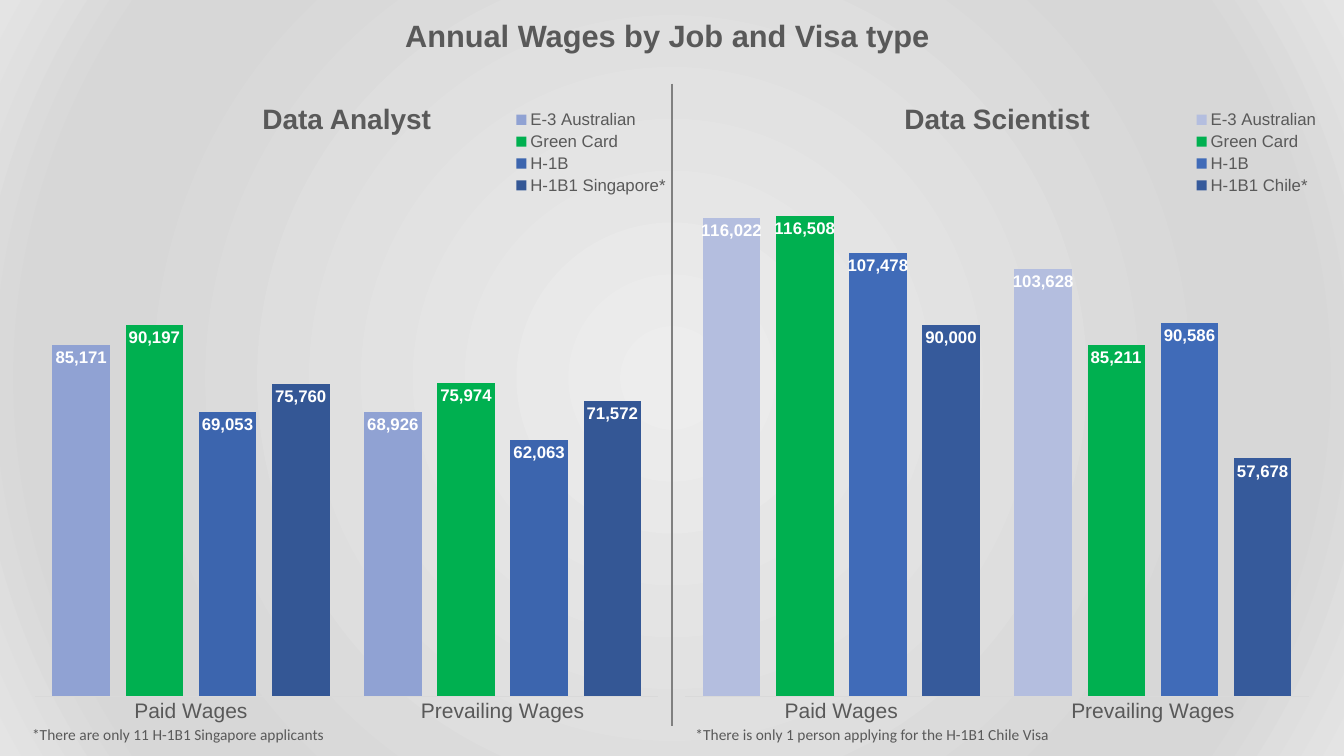
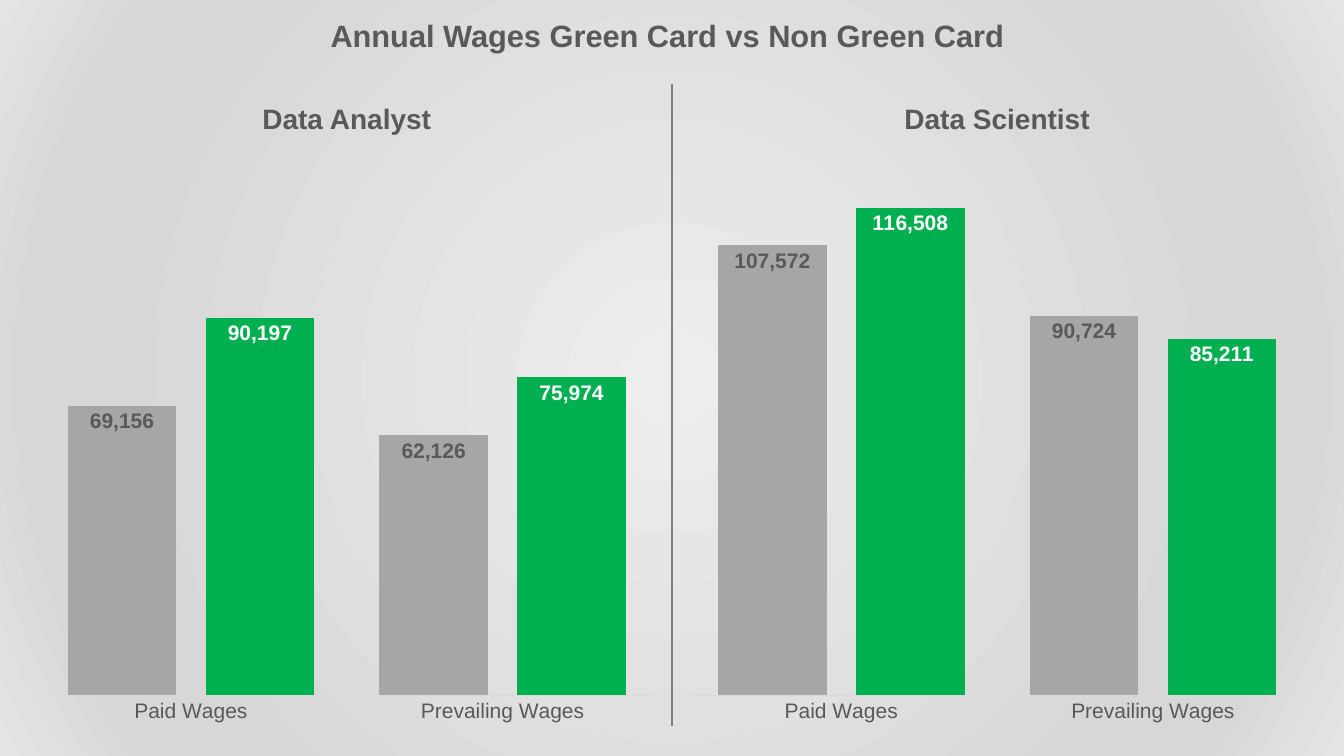
from pptx import Presentation
from pptx.chart.data import CategoryChartData
from pptx.dml.color import RGBColor
from pptx.enum.chart import XL_CHART_TYPE as ChartType
from pptx.enum.chart import XL_LABEL_POSITION as LabelPosition
from pptx.enum.chart import XL_LEGEND_POSITION as LegendPosition
from pptx.enum.chart import XL_TICK_MARK as TickMark
from pptx.enum.shapes import MSO_CONNECTOR as Connector
from pptx.enum.text import MSO_ANCHOR as Anchor
from pptx.enum.text import PP_ALIGN as Align
from pptx.oxml import parse_xml
from pptx.oxml.ns import nsdecls, qn
from pptx.util import Inches, Pt

TEXT = RGBColor(0x59, 0x59, 0x59)
WHITE = RGBColor(0xFF, 0xFF, 0xFF)
GREEN = RGBColor(0x00, 0xB0, 0x50)
GRAY = RGBColor(0xA6, 0xA6, 0xA6)
AXIS = RGBColor(0xD9, 0xD9, 0xD9)
DIVIDER = RGBColor(0x80, 0x80, 0x80)
ANALYST_BLUES = (RGBColor(0x90, 0xA2, 0xD3), RGBColor(0x3C, 0x65, 0xAE),
                 RGBColor(0x34, 0x57, 0x95))
SCIENTIST_BLUES = (RGBColor(0xB4, 0xBE, 0xDF), RGBColor(0x40, 0x6B, 0xB8),
                   RGBColor(0x36, 0x5A, 0x9B))
BACKDROP = ((0, "EDEDED"), (74, "D7D7D7"), (83, "D7D7D7"), (100, "E4E4E4"))

WIDTH, HEIGHT = 13.33, 7.5
PANEL_LEFTS = (0.22, 6.67)
NOTE_LEFTS = (0.22, 6.8)
PANEL_WIDTH = 6.44
CHART_BOTTOM = 7.28
HEADINGS = ("Data Analyst", "Data Scientist")
CATEGORIES = ("Paid Wages", "Prevailing Wages")
PLOT_SHARES = {"x": 0.02, "y": 0.02, "w": 0.96, "h": 0.92}


def style_font(font, size, color=TEXT, bold=False, name="Arial"):
    font.name, font.size, font.bold = name, Pt(size), bold
    font.color.rgb = color


class WageDeck:
    def __init__(self):
        self.presentation = Presentation()
        self.presentation.slide_width = Inches(WIDTH)
        self.presentation.slide_height = Inches(HEIGHT)
        self.slide = None
        self.set_backdrop()

    def set_backdrop(self):
        """Give the master a gradient that spreads from the slide's centre."""
        master = self.presentation.slide_master
        master.background.fill.solid()
        stops = "".join(
            f'<a:gs pos="{share * 1000}"><a:srgbClr val="{color}"/></a:gs>'
            for share, color in BACKDROP)
        gradient = parse_xml(
            f'<a:gradFill {nsdecls("a")} rotWithShape="1"><a:gsLst>{stops}</a:gsLst>'
            '<a:path path="circle"><a:fillToRect l="50000" t="50000" r="50000" '
            'b="50000"/></a:path></a:gradFill>')
        properties = master.element.xpath("./p:cSld/p:bg/p:bgPr")[0]
        properties.replace(properties.find(qn("a:solidFill")), gradient)

    def add_slide(self, title):
        layout = self.presentation.slide_layouts.get_by_name("Title Only")
        self.slide = self.presentation.slides.add_slide(layout)
        self.place_text(self.slide.shapes.title, title, (0.12, 0.12, 13, 0.47), 22)

    def place_text(self, shape, text, box, size, align=Align.CENTER, **style):
        shape.left, shape.top, shape.width, shape.height = map(Inches, box)
        frame = shape.text_frame
        frame.word_wrap = True
        frame.vertical_anchor = Anchor.TOP
        frame.text = text
        paragraph = frame.paragraphs[0]
        paragraph.alignment = align
        style_font(paragraph.font, size, **{"bold": True, **style})

    def add_text(self, text, box, size, **style):
        shape = self.slide.shapes.add_textbox(*map(Inches, box))
        self.place_text(shape, text, box, size, **style)

    def add_divider(self):
        middle = Inches(WIDTH / 2)
        line = self.slide.shapes.add_connector(
            Connector.STRAIGHT, middle, Inches(0.83), middle, Inches(7.2))
        line.line.color.rgb = DIVIDER
        line.line.width = Pt(2)
        line.element.spPr.append(parse_xml(f'<a:effectLst {nsdecls("a")}/>'))

    def add_chart(self, left, top, series_rows, label_size, legend):
        """Draw wage columns from rows of name, values, fill and label colour."""
        data = CategoryChartData(number_format="#,##0")
        data.categories = CATEGORIES
        for name, values, *_ in series_rows:
            data.add_series(name, values)
        chart = self.slide.shapes.add_chart(
            ChartType.COLUMN_CLUSTERED, Inches(left), Inches(top),
            Inches(PANEL_WIDTH), Inches(CHART_BOTTOM - top), data).chart
        chart.has_title = False
        chart.font.name, chart.font.size = "Calibri", Pt(10)
        self.format_axes(chart)
        self.fix_plot_area(chart)

        plot = chart.plots[0]
        plot.gap_width, plot.overlap, plot.vary_by_categories = 60, -27, False
        for series, (_, _, fill, label_color) in zip(plot.series, series_rows):
            series.format.fill.solid()
            series.format.fill.fore_color.rgb = fill
            labels = series.data_labels
            labels.show_value = True
            labels.position = LabelPosition.INSIDE_END
            labels.number_format = "#,##0"
            labels.number_format_is_linked = False
            style_font(labels.font, label_size, label_color, bold=True)

        chart.has_legend = legend
        if legend:
            chart.legend.position = LegendPosition.CORNER
            chart.legend.include_in_layout = True
            style_font(chart.legend.font, 12)

    def format_axes(self, chart):
        chart.value_axis.minimum_scale = 0
        chart.value_axis.maximum_scale = 140000
        chart.value_axis.has_major_gridlines = False
        chart.value_axis.visible = False
        axis = chart.category_axis
        axis.major_tick_mark = axis.minor_tick_mark = TickMark.NONE
        axis.format.line.color.rgb = AXIS
        axis.format.line.width = Pt(0.75)
        style_font(axis.tick_labels.font, 15)

    def fix_plot_area(self, chart):
        """Keep the columns on one baseline, whatever the legend takes up."""
        plot_area = chart.element.xpath(".//c:plotArea")[0]
        for layout in plot_area.findall(qn("c:layout")):
            plot_area.remove(layout)
        shares = "".join(f'<c:{side} val="{share}"/>'
                         for side, share in PLOT_SHARES.items())
        plot_area.insert(0, parse_xml(
            f'<c:layout {nsdecls("c")}><c:manualLayout><c:layoutTarget val="inner"/>'
            f'<c:xMode val="edge"/><c:yMode val="edge"/>{shares}'
            '</c:manualLayout></c:layout>'))

    def add_comparison(self, title, panels, chart_top, label_size,
                       legend=False, notes=()):
        self.add_slide(title)
        for left, heading, series_rows in zip(PANEL_LEFTS, HEADINGS, panels):
            self.add_chart(left, chart_top, series_rows, label_size, legend)
            self.add_text(heading, (left, 0.96, PANEL_WIDTH, 0.44), 20)
        self.add_divider()
        for left, note in zip(NOTE_LEFTS, notes):
            self.add_text(note, (left, 7.14, 5, 0.29), 11, align=Align.LEFT,
                          bold=False, name="Calibri")


def visa_rows(blues, last_visa, australian, green_card, h1b, last):
    light, medium, dark = blues
    return (("E-3 Australian", australian, light, WHITE),
            ("Green Card", green_card, GREEN, WHITE),
            ("H-1B", h1b, medium, WHITE),
            (last_visa, last, dark, WHITE))


def green_card_rows(others, green_card):
    return (("Series 1", others, GRAY, TEXT),
            ("Series 2", green_card, GREEN, WHITE))


def main():
    analyst_green, scientist_green = (90197, 75974), (116508, 85211)
    deck = WageDeck()
    deck.add_comparison(
        "Annual Wages by Job and Visa type",
        (visa_rows(ANALYST_BLUES, "H-1B1 Singapore*", (85171, 68926),
                   analyst_green, (69053, 62063), (75760, 71572)),
         visa_rows(SCIENTIST_BLUES, "H-1B1 Chile*", (116022, 103628),
                   scientist_green, (107478, 90586), (90000, 57678))),
        chart_top=1.06, label_size=12, legend=True,
        notes=("*There are only 11 H-1B1 Singapore applicants",
               "*There is only 1 person applying for the H-1B1 Chile Visa"))
    deck.add_comparison(
        "Annual Wages Green Card vs Non Green Card",
        (green_card_rows((69156, 62126), analyst_green),
         green_card_rows((107572, 90724), scientist_green)),
        chart_top=0.96, label_size=15)
    deck.presentation.save("out.pptx")


if __name__ == "__main__":
    main()
